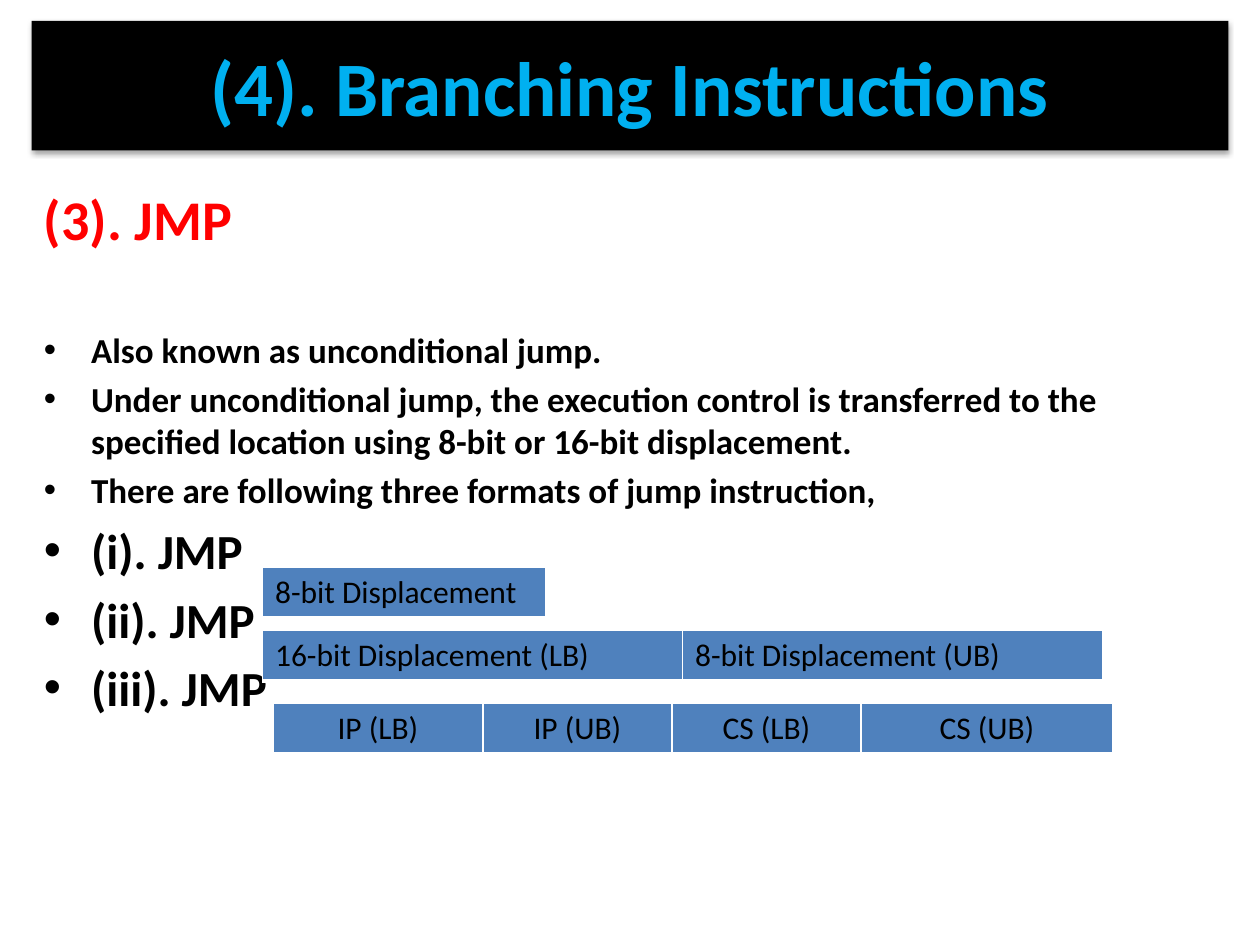
"""Builds the slide on the JMP branching instruction and its three formats."""
from lxml import etree
from pptx import Presentation
from pptx import util as u
from pptx.dml.color import RGBColor
from pptx.enum import text
from pptx.oxml import ns

COLORS = {"band": "000000", "heading": "00B0F0", "topic": "FF0000",
          "ink": "000000", "cell": "4F81BD", "border": "FFFFFF"}
FONT = "Calibri"
HANGING = 27
BORDERS = {"a:lnL": 1, "a:lnR": 1, "a:lnT": 1, "a:lnB": 3}
POINTS = [
    ("Also known as unconditional jump.", 20, 44),
    ("Under unconditional jump, the execution control is transferred to the "
     "specified location using 8-bit or 16-bit displacement.", 20, 4),
    ("There are following three formats of jump instruction,", 20, 4),
    ("(i). JMP", 28, 5.5),
    ("(ii). JMP", 28, 5.5),
    ("(iii). JMP", 28, 5.5),
]


def rgb(name):
    return RGBColor.from_string(COLORS[name])


def sub(parent, tag, **attributes):
    element = etree.SubElement(parent, ns.qn(tag))
    for key, value in attributes.items():
        element.set(key, str(value))
    return element


def write(paragraph, words, size=18, color="ink", bold=False,
          align=text.PP_ALIGN.LEFT, before=0, bullet=False):
    if bullet:
        properties = paragraph._p.get_or_add_pPr()
        properties.set("marL", str(u.Pt(HANGING)))
        properties.set("indent", str(-u.Pt(HANGING)))
        sub(properties, "a:buFont", typeface="Arial")
        sub(properties, "a:buChar", char="•")
    paragraph.alignment = align
    paragraph.space_before = u.Pt(before)
    run = paragraph.add_run()
    run.text = words
    run.font.name = FONT
    run.font.size = u.Pt(size)
    run.font.bold = bold
    run.font.color.rgb = rgb(color)


def add_heading(slide, words):
    heading = slide.shapes.title
    heading.left, heading.top = u.Pt(18), u.Pt(12)
    heading.width, heading.height = u.Pt(684), u.Pt(74)
    heading.fill.solid()
    heading.fill.fore_color.rgb = rgb("band")
    effects = sub(heading._element.spPr, "a:effectLst")
    shadow = sub(effects, "a:outerShdw", blurRad=u.Pt(3.1), dist=u.Pt(1.8),
                 dir=90 * 60000, rotWithShape=0)
    sub(sub(shadow, "a:srgbClr", val=COLORS["band"]), "a:alpha", val=35000)
    frame = heading.text_frame
    frame.auto_size = text.MSO_AUTO_SIZE.NONE
    frame.vertical_anchor = text.MSO_ANCHOR.MIDDLE
    write(frame.paragraphs[0], words, size=44, color="heading", bold=True,
          align=text.PP_ALIGN.CENTER)


def add_explanation(slide, topic, points):
    frame = slide.shapes.add_textbox(
        u.Pt(18), u.Pt(102), u.Pt(678), u.Pt(420)).text_frame
    frame.word_wrap = True
    write(frame.paragraphs[0], topic, size=32, color="topic", bold=True)
    for words, size, before in points:
        write(frame.add_paragraph(), words, size=size, bold=True,
              before=before, bullet=True)


def add_operands(slide, left, top, fields, align=text.PP_ALIGN.LEFT):
    operands = slide.shapes.add_table(
        1, len(fields), u.Pt(left), u.Pt(top),
        u.Pt(sum(width for _, width in fields)), u.Pt(29.2)).table
    operands.first_row = operands.horz_banding = False
    for index, (words, width) in enumerate(fields):
        operands.columns[index].width = u.Pt(width)
        cell = operands.cell(0, index)
        properties = cell._tc.get_or_add_tcPr()
        for side, weight in BORDERS.items():
            line = sub(properties, side, w=u.Pt(weight))
            sub(sub(line, "a:solidFill"), "a:srgbClr", val=COLORS["border"])
        cell.fill.solid()
        cell.fill.fore_color.rgb = rgb("cell")
        write(cell.text_frame.paragraphs[0], words, align=align)


def main():
    deck = Presentation()
    deck.slide_width, deck.slide_height = u.Pt(720), u.Pt(540)
    slide = deck.slides.add_slide(deck.slide_layouts[5])
    add_heading(slide, "(4). Branching Instructions")
    add_explanation(slide, "(3). JMP", POINTS)
    add_operands(slide, 150, 324, [("8-bit Displacement", 162)])
    add_operands(slide, 156, 402, [("IP (LB)", 120), ("IP (UB)", 108),
                                   ("CS (LB)", 108), ("CS (UB)", 144)],
                 align=text.PP_ALIGN.CENTER)
    add_operands(slide, 150, 360, [("16-bit Displacement (LB)", 240),
                                   ("8-bit Displacement (UB)", 240)])
    deck.save("out.pptx")


if __name__ == "__main__":
    main()
